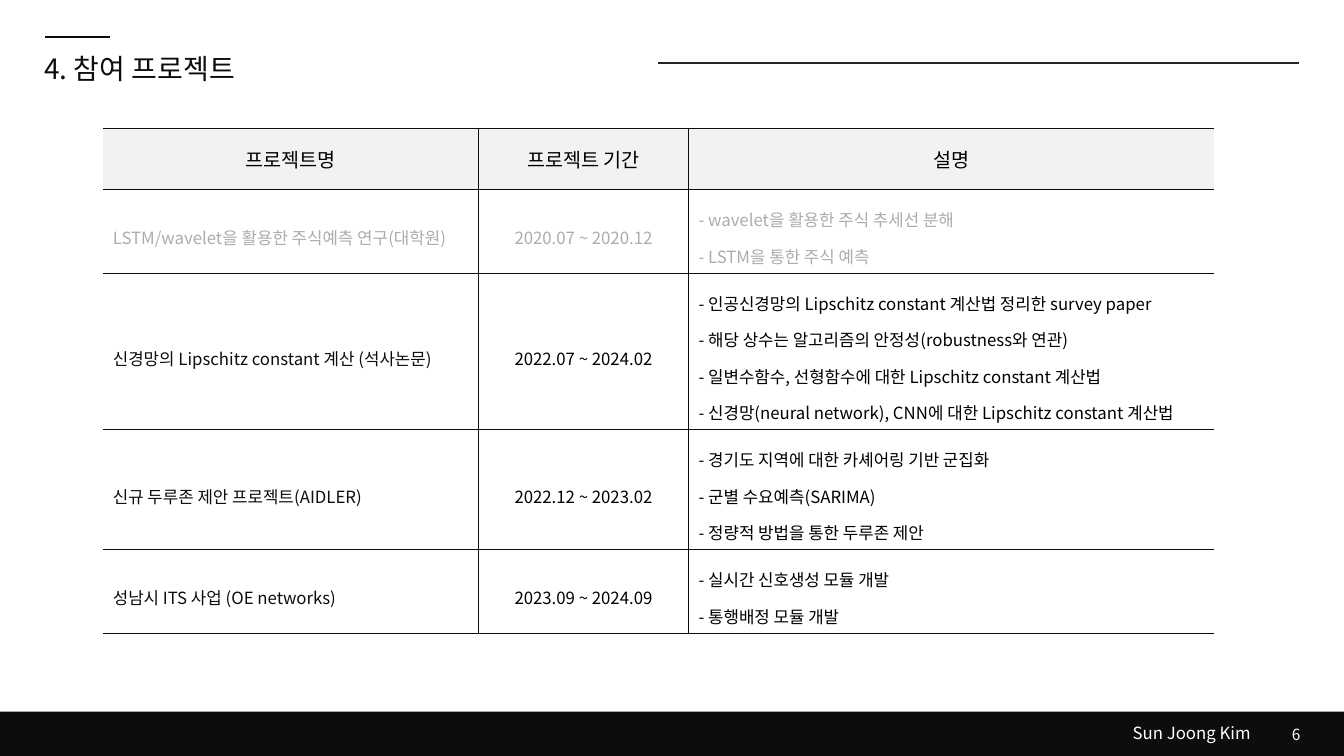
import pptx
import pptx.util
import pptx.dml.color
import pptx.enum.shapes
import pptx.enum.text
import pptx.oxml.ns
from lxml import etree
from pptx.util import Cm, Pt

FONT = "Noto Sans CJK KR"
COLORS = {"ink": "0D0D0D", "rule": "262626", "black": "000000", "white": "FFFFFF",
          "header": "F2F2F2", "faded": "AFABAB"}
ALIGN = pptx.enum.text.PP_ALIGN
MIDDLE = pptx.enum.text.MSO_ANCHOR.MIDDLE
qn = pptx.oxml.ns.qn

HEADERS = ["프로젝트명", "프로젝트 기간", "설명"]
PROJECTS = [
    ("LSTM/wavelet을 활용한 주식예측 연구(대학원)", "2020.07 ~ 2020.12",
     ["- wavelet을 활용한 주식 추세선 분해", "- LSTM을 통한 주식 예측"]),
    ("신경망의 Lipschitz constant 계산 (석사논문)", "2022.07 ~ 2024.02",
     ["- 인공신경망의 Lipschitz constant 계산법 정리한 survey paper",
      "- 해당 상수는 알고리즘의 안정성(robustness와 연관)",
      "- 일변수함수, 선형함수에 대한 Lipschitz constant 계산법",
      "- 신경망(neural network), CNN에 대한 Lipschitz constant 계산법"]),
    ("신규 두루존 제안 프로젝트(AIDLER)", "2022.12 ~ 2023.02",
     ["- 경기도 지역에 대한 카셰어링 기반 군집화", "- 군별 수요예측(SARIMA)",
      "- 정량적 방법을 통한 두루존 제안"]),
    ("성남시 ITS 사업 (OE networks)", "2023.09 ~ 2024.09",
     ["- 실시간 신호생성 모듈 개발", "- 통행배정 모듈 개발"]),
]
COL_WIDTHS = [9.47, 5.29, 13.25]
ROW_HEIGHTS = [1.55, 2.11, 3.94, 3.02, 2.11]


def rgb(name):
    """Return the named colour."""
    return pptx.dml.color.RGBColor.from_string(COLORS[name])


def write(tf, lines, size, color, **formats):
    """Fill a text frame with one formatted paragraph per line."""
    for i, line in enumerate(lines):
        p = tf.paragraphs[0] if i == 0 else tf.add_paragraph()
        for key, value in formats.items():
            setattr(p, key, value)
        r = p.add_run()
        r.text = line
        for key, value in {"size": Pt(size), "name": FONT, "bold": False}.items():
            setattr(r.font, key, value)
        r.font.color.rgb = rgb(color)
        ea = etree.SubElement(r.font._element, qn("a:ea"))
        ea.set("typeface", FONT)


def add_title(s, text):
    """Place and fill the title placeholder."""
    sp = s.shapes.title
    box = {"left": Cm(0.86), "top": Cm(0.94), "width": Cm(12.47), "height": Cm(1.32)}
    for key, value in box.items():
        setattr(sp, key, value)
    tf = sp.text_frame
    tf.auto_size = pptx.enum.text.MSO_AUTO_SIZE.NONE
    tf.vertical_anchor = MIDDLE
    write(tf, [text], 20, "ink", alignment=ALIGN.LEFT, line_spacing=1.3)


def add_line(s, x1, x2, y, color, width):
    """Draw a horizontal rule."""
    line = s.shapes.add_connector(pptx.enum.shapes.MSO_CONNECTOR.STRAIGHT,
                                  Cm(x1), Cm(y), Cm(x2), Cm(y))
    line.line.color.rgb = rgb(color)
    line.line.width = Pt(width)
    etree.SubElement(line._element.spPr, qn("a:effectLst"))


def add_bar(s, left, top, width, height, color):
    """Draw a plain filled bar."""
    sp = s.shapes.add_shape(pptx.enum.shapes.MSO_SHAPE.RECTANGLE,
                            Cm(left), Cm(top), Cm(width), Cm(height))
    sp.shadow.inherit = False
    sp.fill.solid()
    sp.fill.fore_color.rgb = rgb(color)
    sp.line.fill.background()


def add_label(s, left, top, width, height, text, size):
    """Add right-aligned footer text."""
    tf = s.shapes.add_textbox(Cm(left), Cm(top), Cm(width), Cm(height)).text_frame
    tf.word_wrap = True
    write(tf, [text], size, "white", alignment=ALIGN.RIGHT)


def set_borders(cell, sides):
    """Draw thin borders on the given sides and clear the others."""
    tcPr = cell._tc.get_or_add_tcPr()
    for side in "LRTB":
        ln = etree.SubElement(tcPr, qn("a:ln" + side), w=str(Pt(0.5)))
        if side in sides:
            fill = etree.SubElement(ln, qn("a:solidFill"))
            etree.SubElement(fill, qn("a:srgbClr"), val=COLORS["ink"])
        else:
            etree.SubElement(ln, qn("a:noFill"))


def add_project_table(s):
    """Build the project table."""
    frame = s.shapes.add_table(len(ROW_HEIGHTS), len(COL_WIDTHS), Cm(2.59), Cm(3.23),
                               Cm(sum(COL_WIDTHS)), Cm(sum(ROW_HEIGHTS)))
    table = frame.table
    table.first_row = table.horz_banding = False
    for col, width in zip(table.columns, COL_WIDTHS):
        col.width = Cm(width)
    for row, height in zip(table.rows, ROW_HEIGHTS):
        row.height = Cm(height)
    for i, row in enumerate([HEADERS] + PROJECTS):
        for j, value in enumerate(row):
            cell = table.cell(i, j)
            cell.vertical_anchor = MIDDLE
            set_borders(cell, ("RTB", "LRTB", "LTB")[j])
            if i == 0:
                cell.fill.solid()
                cell.fill.fore_color.rgb = rgb("header")
                write(cell.text_frame, [value], 14, "black", alignment=ALIGN.CENTER)
                continue
            cell.fill.background()
            lines = value if isinstance(value, list) else [value]
            color = "faded" if i == 1 else "ink" if j == 0 else "black"
            write(cell.text_frame, lines, 12, color, line_spacing=1.5,
                  alignment=ALIGN.CENTER if j == 1 else ALIGN.LEFT)


def main():
    """Build and save the slide."""
    prs = pptx.Presentation()
    prs.slide_width, prs.slide_height = Cm(33.87), Cm(19.05)
    s = prs.slides.add_slide(prs.slide_layouts[5])
    add_bar(s, 0, 17.93, 33.87, 1.12, "ink")
    add_label(s, 31.29, 18.16, 1.73, 0.74, "6", 11)
    add_label(s, 24.28, 18.08, 7.49, 0.76, "Sun Joong Kim", 12)
    add_line(s, 1.14, 2.77, 0.93, "ink", 1.75)
    add_line(s, 16.59, 32.74, 1.59, "rule", 1.25)
    add_title(s, "4. 참여 프로젝트")
    add_project_table(s)
    prs.save("out.pptx")


if __name__ == "__main__":
    main()
